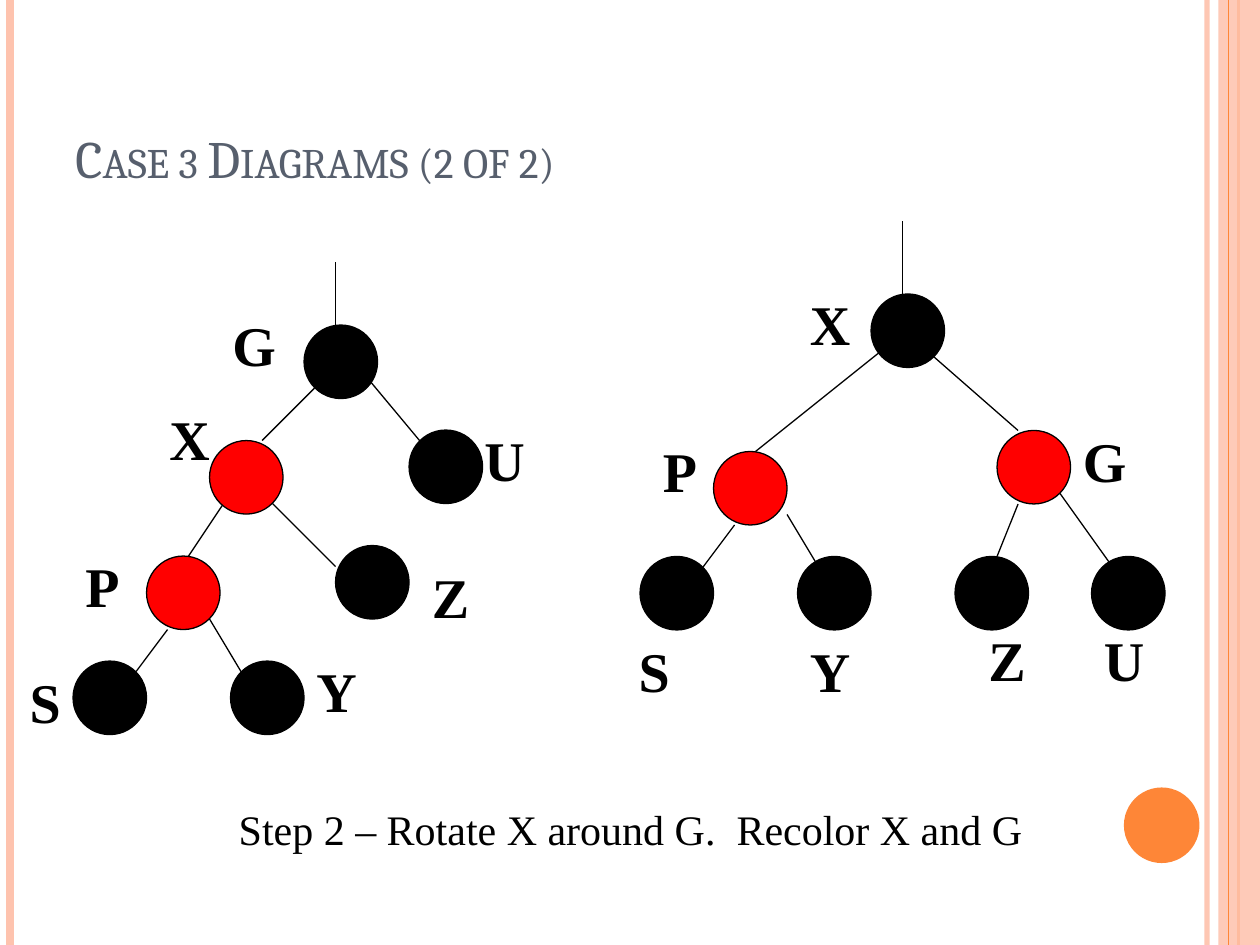
from dataclasses import dataclass

from lxml.etree import SubElement
from pptx import Presentation
from pptx.dml.color import RGBColor
from pptx.enum.shapes import MSO_CONNECTOR, MSO_SHAPE
from pptx.enum.text import MSO_ANCHOR, PP_ALIGN
from pptx.oxml.ns import qn
from pptx.util import Inches, Pt


@dataclass(frozen=True)
class Theme:
    """Colours, fonts and type sizes of the slide."""
    peach: str = "FEC3AE"
    orange: str = "FE8637"
    slate: str = "575F6D"
    black: str = "000000"
    red: str = "FF0000"
    head: str = "Cambria"
    body: str = "Times New Roman"
    title: int = 30
    label: int = 32
    note: int = 24


THEME = Theme()
GRID = 1 / 12
NODE = 7

# name, node x and y, colour, label dx and dy, label width; all in grid units
BEFORE = [
    ("G", 22, 6, THEME.black, -8, -2, 7),
    ("X", 13, 17, THEME.red, -5, -4, 6),
    ("U", 32, 16, THEME.black, 6, -1, 7),
    ("P", 7, 28, THEME.red, -7, -1, 7),
    ("Z", 25, 27, THEME.black, 8, 1, 7),
    ("S", 0, 38, THEME.black, -10, 0, 10),
    ("Y", 15, 38, THEME.black, 7, -1, 7),
]
BEFORE_EDGES = [
    (25, 8, 25, 0), (18, 17, 23, 12), (28, 11, 33, 17), (11, 28, 15, 22),
    (19, 23, 25, 29), (9, 35, 6, 39), (13, 34, 16, 39),
]
AFTER = [
    ("X", 22, 7, THEME.black, -7, -1, 7),
    ("P", 7, 22, THEME.red, -6, -2, 6),
    ("G", 34, 20, THEME.red, 7, -1, 7),
    ("S", 0, 32, THEME.black, -6, 7, 10),
    ("Y", 15, 32, THEME.black, 0, 7, 7),
    ("Z", 30, 32, THEME.black, 2, 6, 7),
    ("U", 43, 32, THEME.black, 0, 6, 7),
]
AFTER_EDGES = [
    (25, 7, 25, 0), (11, 22, 26, 10), (36, 20, 28, 13), (9, 29, 6, 33),
    (14, 28, 17, 33), (36, 27, 34, 32), (40, 26, 45, 33),
]


def fade(fill, alpha):
    """Make the solid fill under an element partly transparent."""
    color = next(fill.iter(qn("a:srgbClr")))
    SubElement(color, qn("a:alpha")).set("val", str(alpha * 1000))


def add_line(slide, x1, y1, x2, y2, color, width):
    """Draw a straight line without shadow."""
    line = slide.shapes.add_connector(
        MSO_CONNECTOR.STRAIGHT, *map(Inches, (x1, y1, x2, y2)))
    line.line.color.rgb = RGBColor.from_string(color)
    line.line.width = Pt(width)
    SubElement(line.element.spPr, qn("a:effectLst"))
    return line


def add_form(slide, kind, box, fill, edge=None):
    """Draw a filled shape, outlined only when an edge colour is given."""
    form = slide.shapes.add_shape(kind, *map(Inches, box))
    form.shadow.inherit = False
    form.fill.solid()
    form.fill.fore_color.rgb = RGBColor.from_string(fill)
    if edge:
        form.line.color.rgb = RGBColor.from_string(edge)
        form.line.width = Pt(0.75)
    else:
        form.line.fill.background()
    return form


def add_text(slide, box, text, size, font=THEME.body, color=THEME.black,
             bold=False, align=PP_ALIGN.LEFT, anchor=MSO_ANCHOR.TOP):
    """Place one line of text and return its run."""
    frame = slide.shapes.add_textbox(*map(Inches, box)).text_frame
    frame.word_wrap = True
    frame.vertical_anchor = anchor
    frame.text = text
    line = frame.paragraphs[0]
    line.alignment = align
    run = line.runs[0]
    run.font.name = font
    run.font.size = Pt(size)
    run.font.bold = bold
    run.font.color.rgb = RGBColor.from_string(color)
    return run


def add_frame(slide, left, top, width, height):
    """Draw the stripes at both sides and the orange dot."""
    def stripe(x, color, weight):
        """Draw a full-height line at a distance from the left edge."""
        return add_line(slide, left + x, top, left + x, top + height,
                        color, weight)

    right = width - 0.33
    fade(stripe(right - 0.09, THEME.peach, 3).element.spPr, 93)
    stripe(0.08, THEME.peach, 4.5)
    stripe(right + 0.16, THEME.orange, 1.5)
    band = add_form(slide, MSO_SHAPE.RECTANGLE,
                    (left + right, top, 0.33, height), THEME.peach)
    fade(band.element.spPr, 87)
    stripe(right + 0.08, THEME.orange, 0.75)
    add_form(slide, MSO_SHAPE.OVAL,
             (left + width - 1.08, top + height - 1.25, 0.6, 0.6),
             THEME.orange)


def add_title(slide, box, text):
    """Place the title in small capitals at the foot of its box."""
    run = add_text(slide, box, text, THEME.title, THEME.head, THEME.slate,
                   anchor=MSO_ANCHOR.BOTTOM)
    run.font._element.set("cap", "small")


def add_tree(slide, left, top, nodes, edges):
    """Draw a tree from its edges, nodes and labels."""
    def spot(x, y):
        """Turn grid units into slide inches."""
        return left + x * GRID, top + y * GRID

    for x1, y1, x2, y2 in edges:
        add_line(slide, *spot(x1, y1), *spot(x2, y2), THEME.black, 0.75)
    side = NODE * GRID
    for name, x, y, color, dx, dy, width in nodes:
        add_form(slide, MSO_SHAPE.OVAL, (*spot(x, y), side, side),
                 color, THEME.black)
        align = PP_ALIGN.RIGHT if width > NODE else PP_ALIGN.LEFT
        add_text(slide, (*spot(x + dx, y + dy), width * GRID, 0.63), name,
                 THEME.label, bold=True, align=align)


def main():
    """Build and save the slide."""
    deck = Presentation()
    deck.slide_width, deck.slide_height = Inches(10), Inches(7.5)
    slide = deck.slides.add_slide(deck.slide_layouts[6])
    add_frame(slide, 0, 0, 10, 7.5)
    add_title(slide, (0.5, 0.3, 8.17, 1.25), "Case 3 Diagrams (2 of 2)")
    add_tree(slide, 0.58, 2.08, BEFORE, BEFORE_EDGES)
    add_tree(slide, 5.08, 1.75, AFTER, AFTER_EDGES)
    add_text(slide, (0.42, 6.33, 9.17, 0.5),
             "Step 2 – Rotate X around G.  Recolor X and G", THEME.note,
             align=PP_ALIGN.CENTER)
    deck.save("out.pptx")


if __name__ == "__main__":
    main()
